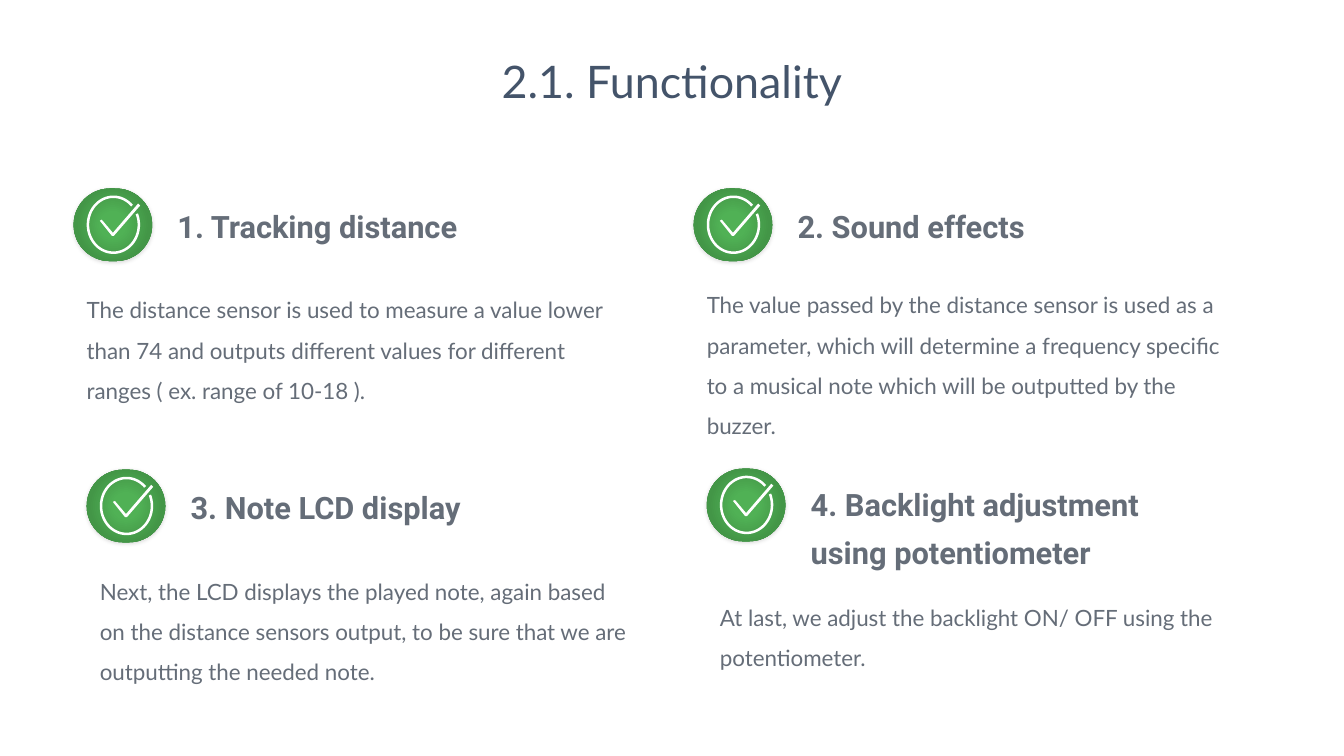
from math import cos, radians, sin

from lxml.etree import SubElement
from pptx import Presentation
from pptx.dml.color import RGBColor
from pptx.enum.shapes import MSO_SHAPE
from pptx.enum.text import MSO_ANCHOR, MSO_AUTO_SIZE, PP_ALIGN
from pptx.oxml import parse_xml
from pptx.oxml.ns import nsdecls, qn
from pptx.util import Inches, Pt

GREEN_STOPS = [(0, "50B155"), (23, "50B155"), (69, "439647"), (97, "3E8C42")]
TICK = [(0.13, 0.25), (0.15, 0.24), (0.26, 0.37), (0.51, 0.08),
        (0.53, 0.10), (0.27, 0.40), (0.25, 0.40)]

SLIDE_TITLE = {
    "font": {"name": "Lato", "size": Pt(32)}, "color": "44546A",
    "paragraph": {"alignment": PP_ALIGN.CENTER},
    "frame": {"auto_size": MSO_AUTO_SIZE.SHAPE_TO_FIT_TEXT},
}
NO_MARGINS = dict.fromkeys(
    ("margin_left", "margin_top", "margin_right", "margin_bottom"), 0)
HEADING = {
    "font": {"name": "Roboto", "size": Pt(22), "bold": True}, "color": "656D78",
    "paragraph": {"line_spacing": 1.3},
    "frame": {**NO_MARGINS, "vertical_anchor": MSO_ANCHOR.MIDDLE,
              "auto_size": MSO_AUTO_SIZE.SHAPE_TO_FIT_TEXT},
}
BODY = {
    "font": {"name": "Lato", "size": Pt(16)}, "color": "656D78",
    "paragraph": {"line_spacing": 1.5, "space_before": Pt(7.5)},
    "frame": NO_MARGINS,
}

# Left, top, heading (text, offset, height), body (text, offset)
FEATURES = [
    (0.73, 1.87, ("1. Tracking distance", 0.10, 0.44),
     ("The distance sensor is used to measure a value lower than 74 and outputs "
      "different values for different ranges ( ex. range of 10-18 ).", 0.94)),
    (6.88, 1.87, ("2. Sound effects", 0.10, 0.44),
     ("The value passed by the distance sensor is used as a parameter, which will "
      "determine a frequency specific to a musical note which will be outputted "
      "by the buzzer.", 0.89)),
    (0.86, 4.66, ("3. Note LCD display", 0.10, 0.44),
     ("Next, the LCD displays the played note, again based on the distance sensors "
      "output, to be sure that we are outputting the needed note.", 0.94)),
    (7.01, 4.65, ("4. Backlight adjustment using potentiometer", 0.07, 0.92),
     ("At last, we adjust the backlight ON/ OFF using the potentiometer.", 1.21)),
]


def color(value):
    return RGBColor.from_string(value)


def set_attributes(target, values):
    for name, value in values.items():
        setattr(target, name, value)


def add_text(shapes, box, text, style):
    frame = shapes.add_textbox(*map(Inches, box)).text_frame
    frame.word_wrap = True
    set_attributes(frame, style["frame"])
    paragraph = frame.paragraphs[0]
    set_attributes(paragraph, style["paragraph"])
    run = paragraph.add_run()
    run.text = text
    set_attributes(run.font, style["font"])
    run.font.color.rgb = color(style["color"])


def add_badge(shapes, left, top):
    """Green pill with a radial gradient and a soft shadow."""
    badge = shapes.add_shape(MSO_SHAPE.ROUNDED_RECTANGLE,
                             *map(Inches, (left, top, 0.78, 0.72)))
    badge.adjustments[0] = 0.5
    badge.line.fill.background()
    badge.shadow.inherit = False
    stops = "".join(
        f'<a:gs pos="{position * 1000}"><a:srgbClr val="{value}"/></a:gs>'
        for position, value in GREEN_STOPS)
    gradient = parse_xml(
        f'<a:gradFill {nsdecls("a")}><a:gsLst>{stops}</a:gsLst><a:path path="circle">'
        '<a:fillToRect l="50000" t="50000" r="50000" b="50000"/></a:path></a:gradFill>')
    properties = badge.element.spPr
    properties.find(qn("a:prstGeom")).addnext(gradient)
    shadow = SubElement(properties.find(qn("a:effectLst")), qn("a:outerShdw"),
                        blurRad=str(Pt(3)), dist=str(Pt(1)), dir="5400000",
                        algn="t", rotWithShape="0")
    shadow_color = SubElement(shadow, qn("a:srgbClr"), val="000000")
    SubElement(shadow_color, qn("a:alpha"), val="15000")


def ring_arc(radius_x, radius_y):
    """Points of the ring, open where the tick passes through."""
    angles = [radians(angle) for angle in range(-23, 318, 5)]
    return [(0.265 + radius_x * cos(angle), 0.29 + radius_y * sin(angle))
            for angle in angles]


def add_check(shapes, left, top):
    ring = ring_arc(0.265, 0.29) + ring_arc(0.24, 0.265)[::-1]
    contours = [[(Inches(left + x), Inches(top + y)) for x, y in points]
                for points in (ring, TICK)]
    builder = shapes.build_freeform(*contours[0][0])
    builder.add_line_segments(contours[0][1:])
    builder.move_to(*contours[1][0])
    builder.add_line_segments(contours[1][1:])
    check = builder.convert_to_shape()
    check.fill.solid()
    check.fill.fore_color.rgb = color("FFFFFF")
    check.line.fill.background()
    check.shadow.inherit = False


def add_feature(slide, left, top, heading, body):
    shapes = slide.shapes.add_group_shape().shapes
    heading_text, heading_offset, heading_height = heading
    body_text, body_offset = body
    add_badge(shapes, left, top)
    add_text(shapes, (left + 1.03, top + heading_offset, 3.91, heading_height),
             heading_text, HEADING)
    add_text(shapes, (left + 0.13, top + body_offset, 5.32, 1.64), body_text, BODY)
    add_check(shapes, left + 0.13, top + 0.07)


def main():
    presentation = Presentation()
    presentation.slide_width = Inches(13.33)
    presentation.slide_height = Inches(7.5)
    slide = presentation.slides.add_slide(presentation.slide_layouts[6])
    for feature in FEATURES:
        add_feature(slide, *feature)
    add_text(slide.shapes, (4.08, 0.48, 5.17, 0.64), "2.1. Functionality", SLIDE_TITLE)
    presentation.save("out.pptx")


if __name__ == "__main__":
    main()
